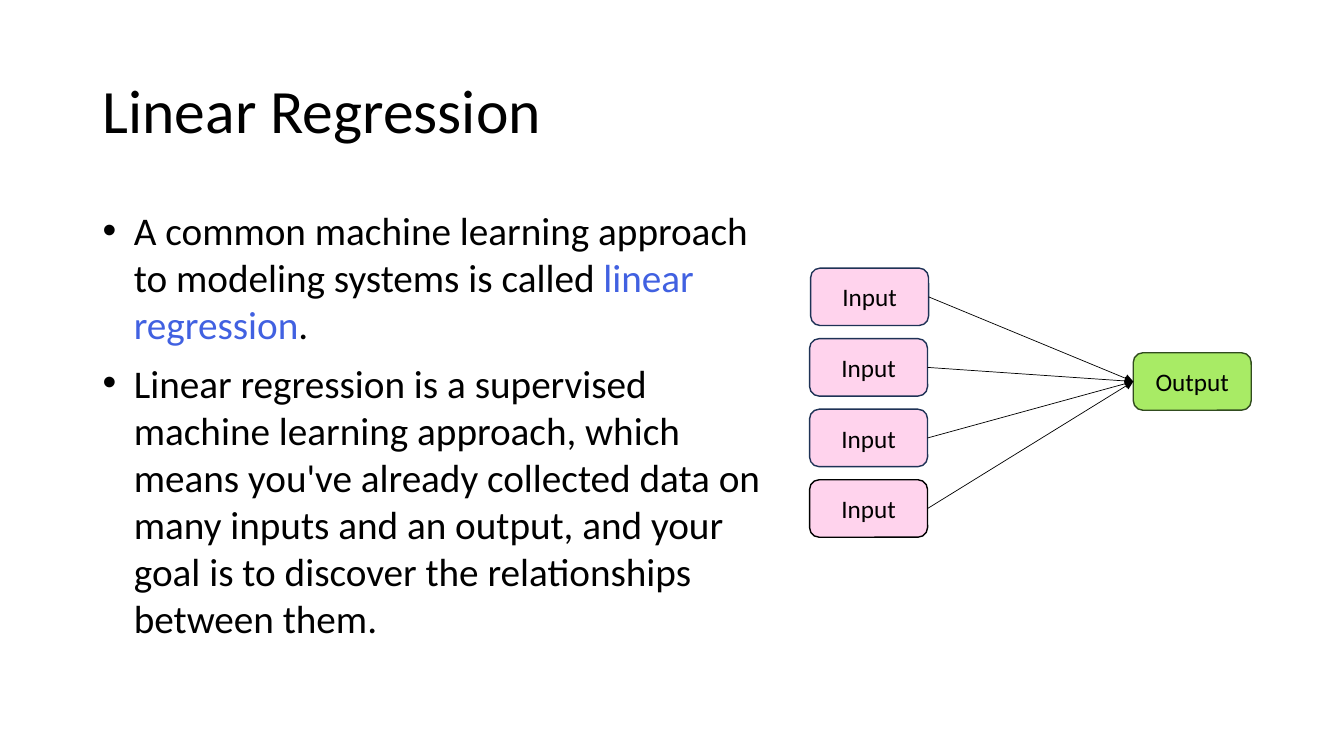
from dataclasses import dataclass

from lxml import etree
from pptx import Presentation
from pptx.dml.color import RGBColor
from pptx.enum.shapes import MSO_CONNECTOR, MSO_SHAPE
from pptx.enum.text import MSO_ANCHOR, PP_ALIGN
from pptx.oxml.ns import qn
from pptx.shapes.autoshape import Shape
from pptx.slide import Slide
from pptx.text.text import TextFrame, _Paragraph
from pptx.util import Inches, Pt

ROUNDED = MSO_SHAPE.ROUNDED_RECTANGLE
STRAIGHT = MSO_CONNECTOR.STRAIGHT
MIDDLE = MSO_ANCHOR.MIDDLE
CENTER = PP_ALIGN.CENTER

BLACK = RGBColor(0x00, 0x00, 0x00)
BLUE = RGBColor(0x41, 0x61, 0xE1)
PINK = RGBColor(0xFF, 0xD3, 0xED)
NAVY = RGBColor(0x1E, 0x32, 0x56)
GREEN = RGBColor(0xA8, 0xEB, 0x65)
DARK_GREEN = RGBColor(0x31, 0x4C, 0x1F)

FONT = "Calibri"
NODE_W, NODE_H = 1.17, 0.57
INPUT_TOP, INPUT_STEP = 2.66, 0.7
LEFT_SITE, RIGHT_SITE = 1, 3


@dataclass
class Node:
    label: str
    left: float
    top: float
    fill: RGBColor
    line: RGBColor


@dataclass
class Span:
    text: str
    color: RGBColor = BLACK


INPUTS = [
    Node("Input", left, INPUT_TOP + i * INPUT_STEP, PINK, line)
    for i, (left, line) in enumerate(
        [(8.04, NAVY), (8.03, NAVY), (8.03, NAVY), (8.03, BLACK)]
    )
]
OUTPUT = Node("Output", 11.24, 3.5, GREEN, DARK_GREEN)

BULLETS = [
    [
        Span("A common machine learning approach to modeling systems is called "),
        Span("linear regression", BLUE),
        Span("."),
    ],
    [
        Span(
            "Linear regression is a supervised machine learning approach, "
            "which means you've already collected data on many inputs and an "
            "output, and your goal is to discover the relationships between them."
        )
    ],
]


def add_run(p: _Paragraph, span: Span, size: float) -> None:
    r = p.add_run()
    r.text = span.text
    r.font.name = FONT
    r.font.size = Pt(size)
    r.font.color.rgb = span.color


def add_text_box(
    s: Slide, left: float, top: float, width: float, height: float
) -> TextFrame:
    box = s.shapes.add_textbox(
        Inches(left), Inches(top), Inches(width), Inches(height)
    )
    tf = box.text_frame
    tf.word_wrap = True
    return tf


def set_bullet(p: _Paragraph) -> None:
    pPr = p._p.get_or_add_pPr()
    pPr.set("marL", str(Inches(0.31)))
    pPr.set("indent", str(Inches(-0.31)))
    etree.SubElement(pPr, qn("a:buFont"), typeface="Arial")
    etree.SubElement(pPr, qn("a:buChar"), char="•")


def add_node(s: Slide, node: Node) -> Shape:
    sp = s.shapes.add_shape(
        ROUNDED, Inches(node.left), Inches(node.top), Inches(NODE_W), Inches(NODE_H)
    )
    sp.shadow.inherit = False
    sp.fill.solid()
    sp.fill.fore_color.rgb = node.fill
    sp.line.color.rgb = node.line
    sp.line.width = Pt(1)
    tf = sp.text_frame
    tf.vertical_anchor = MIDDLE
    p = tf.paragraphs[0]
    p.alignment = CENTER
    add_run(p, Span(node.label), 18)
    return sp


def add_arrow(s: Slide, start: Shape, end: Shape) -> None:
    arrow = s.shapes.add_connector(STRAIGHT, 0, 0, 0, 0)
    arrow.begin_connect(start, RIGHT_SITE)
    arrow.end_connect(end, LEFT_SITE)
    arrow.line.color.rgb = BLACK
    arrow.line.width = Pt(0.5)
    etree.SubElement(arrow.line._get_or_add_ln(), qn("a:tailEnd"), type="triangle")
    etree.SubElement(arrow._element.spPr, qn("a:effectLst"))


def main() -> None:
    prs = Presentation()
    prs.slide_width = Inches(13.33)
    prs.slide_height = Inches(7.5)
    s = prs.slides.add_slide(prs.slide_layouts[6])

    tf = add_text_box(s, 0.92, 0.4, 11.5, 1.45)
    tf.vertical_anchor = MIDDLE
    p = tf.paragraphs[0]
    p.line_spacing = 0.9
    add_run(p, Span("Linear Regression"), 44)

    tf = add_text_box(s, 0.92, 2, 6.96, 4.76)
    for i, spans in enumerate(BULLETS):
        p = tf.add_paragraph() if i else tf.paragraphs[0]
        p.space_after = Pt(8)
        set_bullet(p)
        for span in spans:
            add_run(p, span, 28)

    inputs = [add_node(s, node) for node in INPUTS]
    output = add_node(s, OUTPUT)
    for sp in inputs:
        add_arrow(s, sp, output)

    prs.save("out.pptx")


if __name__ == "__main__":
    main()
